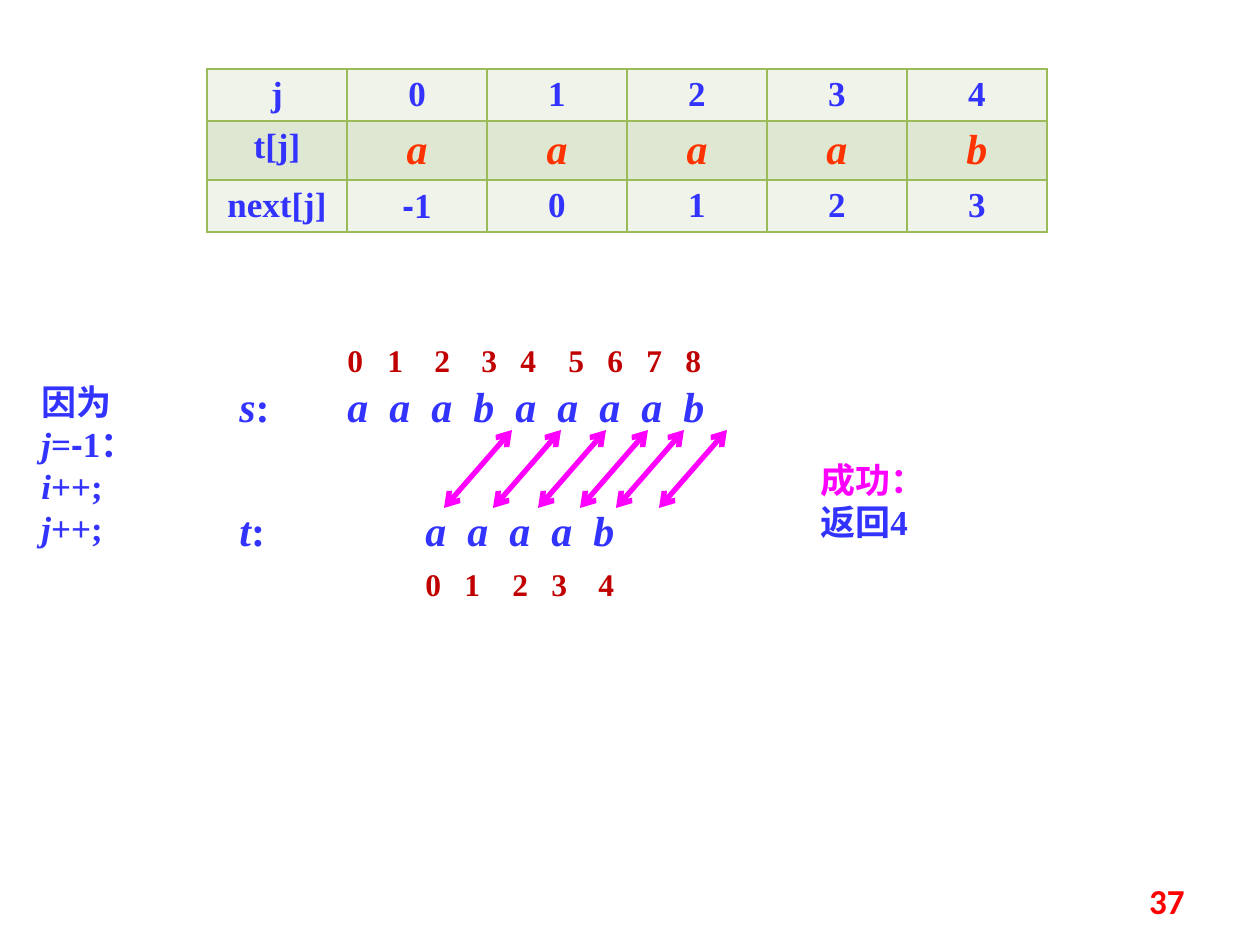
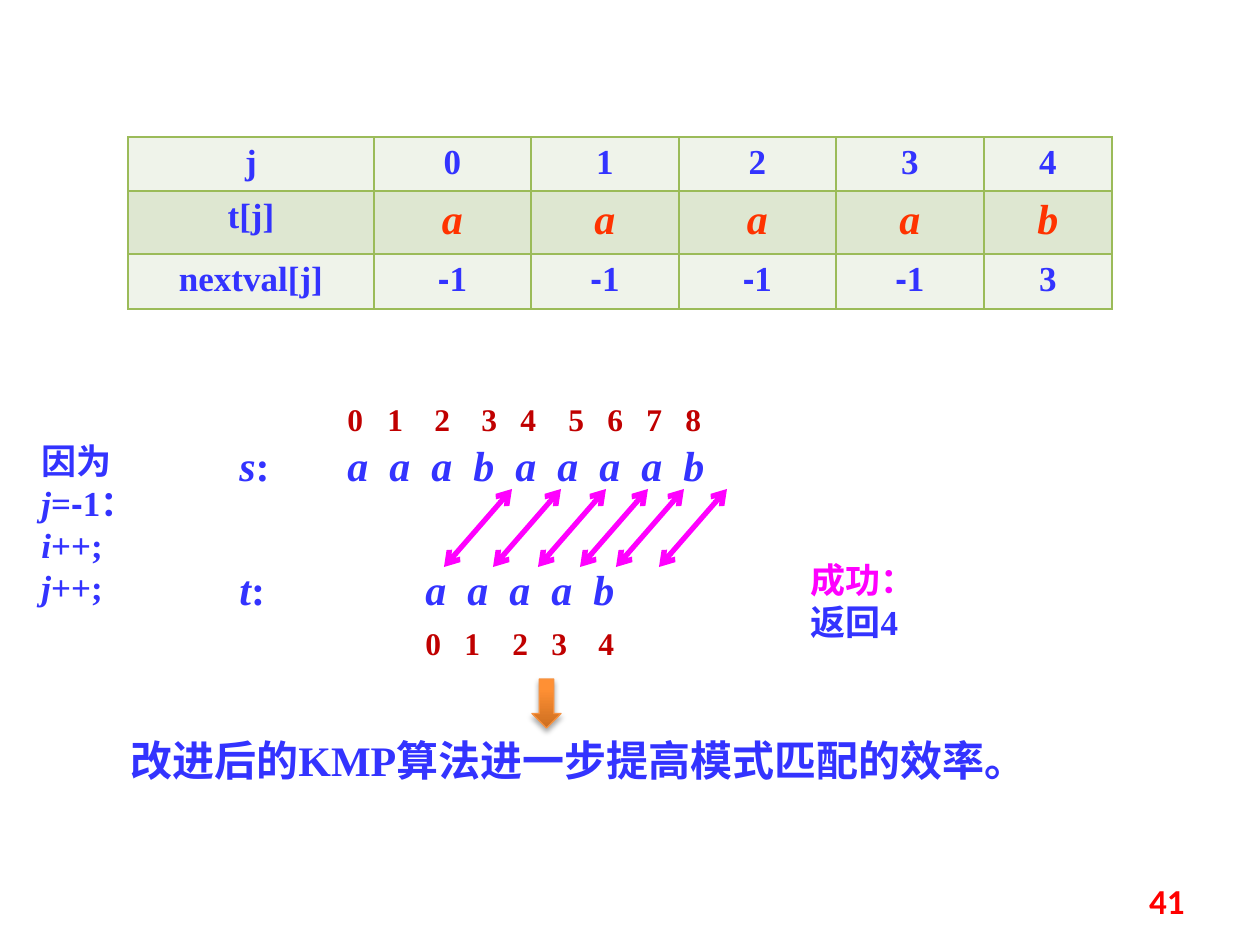
from itertools import accumulate

from lxml.etree import SubElement
from pptx import Presentation
from pptx.dml.color import RGBColor
from pptx.enum.lang import MSO_LANGUAGE_ID as Language
from pptx.enum.shapes import MSO_CONNECTOR as Connector, MSO_SHAPE as Shape
from pptx.enum.text import MSO_ANCHOR as Anchor, MSO_AUTO_SIZE as AutoSize, PP_ALIGN as Align
from pptx.oxml.ns import qn
from pptx.util import Pt

PX = 914400 / 126
COLORS = {
    "blue": "3333FF", "letter": "FF3300", "index": "C00000", "magenta": "FF00FF",
    "page": "FF0000", "border": "9BBB59", "light_row": "EFF3EA", "dark_row": "DEE7D1",
    "arrow_dark": "CC6E20", "arrow_light": "FF9034", "arrow_line": "F69240",
}
RGB = {name: RGBColor.from_string(value) for name, value in COLORS.items()}
SERIF = "Times New Roman"
LETTER_PITCH = 42
ARROW_TOPS = [512, 561, 606, 648, 684, 727]

# What differs between the slides
SLIDES = [
    {"page": "37", "table_at": (207, 69), "columns": [140] * 6, "rows": [52, 59, 52],
     "values": ["next[j]", "-1", "0", "1", "2", "3"],
     "trace_top": 374, "result_at": (808, 452), "conclusion": ""},
    {"page": "41", "table_at": (128, 137), "columns": [246, 157, 148, 157, 148, 128],
     "rows": [54, 63, 55], "values": ["nextval[j]", "-1", "-1", "-1", "-1", "3"],
     "trace_top": 433, "result_at": (798, 552),
     "conclusion": "改进后的KMP算法进一步提高模式匹配的效率。"},
]


def add_run(paragraph, text, size=20, color="blue", italic=False, font=SERIF):
    run = paragraph.add_run()
    run.text = text
    run.font.name = font
    run.font.size = Pt(size)
    run.font.bold = True
    run.font.italic = italic
    run.font.color.rgb = RGB[color]
    run.font.language_id = Language.SIMPLIFIED_CHINESE


def add_text(slide, box, paragraphs, tab_stops=()):
    """Each paragraph is a list of runs: (text, size, color, italic, font)."""
    shape = slide.shapes.add_textbox(*[round(length * PX) for length in box])
    frame = shape.text_frame
    frame.word_wrap = True
    frame.auto_size = AutoSize.SHAPE_TO_FIT_TEXT
    for number, runs in enumerate(paragraphs):
        paragraph = frame.add_paragraph() if number else frame.paragraphs[0]
        if tab_stops:
            tab_list = SubElement(paragraph._p.get_or_add_pPr(), qn("a:tabLst"))
            for stop in tab_stops:
                SubElement(tab_list, qn("a:tab"), pos=str(round(stop * PX)), algn="l")
        for run in runs:
            add_run(paragraph, *run)
    return shape


presentation = Presentation()
presentation.slide_width = round(1260 * PX)
presentation.slide_height = round(945 * PX)

for content in SLIDES:
    slide = presentation.slides.add_slide(presentation.slide_layouts[6])

    # Table of the next values
    left, top = content["table_at"]
    columns, rows = content["columns"], content["rows"]
    table_box = (left, top, sum(columns), sum(rows))
    table = slide.shapes.add_table(
        3, 6, *[round(length * PX) for length in table_box]).table
    for column, width in zip(table.columns, columns):
        column.width = round(width * PX)
    table_rows = [["j", *"01234"], ["t[j]", *"aaaab"], content["values"]]
    for row_index, texts in enumerate(table_rows):
        table.rows[row_index].height = round(rows[row_index] * PX)
        for column_index, text in enumerate(texts):
            cell = table.cell(row_index, column_index)
            cell_properties = cell._tc.get_or_add_tcPr()
            for side in ("lnL", "lnR", "lnT", "lnB"):
                border = SubElement(cell_properties, qn(f"a:{side}"), w=str(Pt(1)))
                border_fill = SubElement(border, qn("a:solidFill"))
                SubElement(border_fill, qn("a:srgbClr"), val=COLORS["border"])
            cell.fill.solid()
            cell.fill.fore_color.rgb = RGB["dark_row" if row_index == 1 else "light_row"]
            paragraph = cell.text_frame.paragraphs[0]
            paragraph.alignment = Align.CENTER
            if row_index == 1 and column_index:
                add_run(paragraph, text, 24, "letter", True)
            elif text.startswith("-"):
                add_run(paragraph, "-", font="Arial")
                add_run(paragraph, text[1:])
            else:
                add_run(paragraph, text)

    # Strings s and t with their indices
    trace_top = content["trace_top"]
    strings = [
        ("s", "aaabaaaab", 335, 0, -39, [40, 47, 47, 39, 48, 39, 39, 39]),
        ("t", "aaaab", 413, 124, 185, [39, 48, 39, 47]),
    ]
    for name, letters, left, row_offset, index_offset, index_gaps in strings:
        row_top = trace_top + row_offset
        width = len(letters) * LETTER_PITCH + 45
        add_text(slide, (left, row_top, width, 63),
                 [[("\t".join(letters), 24, "blue", True)]],
                 [LETTER_PITCH * step for step in range(1, len(letters))])
        add_text(slide, (227, row_top, 88, 63),
                 [[(name, 24, "blue", True), (":", 24)]])
        indices = "\t".join(str(index) for index in range(len(letters)))
        add_text(slide, (left, trace_top + index_offset, width, 50),
                 [[(indices, 18, "index")]], list(accumulate(index_gaps)))

    # Reason and result
    add_text(slide, (29, trace_top, 168, 140), [
        [("因为",), ("j", 20, "blue", True), ("=",),
         ("-", 20, "blue", False, "Arial"), ("1：",)],
        [("i", 20, "blue", True), ("++;",)],
        [("j", 20, "blue", True), ("++;",)],
    ])
    add_text(slide, (*content["result_at"], 186, 97),
             [[("成功：", 20, "magenta")], [("返回4",)]])

    # Comparison arrows
    for arrow_left in ARROW_TOPS:
        ends = (arrow_left, trace_top + 56, arrow_left - 68, trace_top + 134)
        arrow = slide.shapes.add_connector(
            Connector.STRAIGHT, *[round(length * PX) for length in ends])
        arrow.line.color.rgb = RGB["magenta"]
        arrow.line.width = Pt(3)
        for end in ("headEnd", "tailEnd"):
            SubElement(arrow.line._get_or_add_ln(), qn(f"a:{end}"), type="arrow")
        SubElement(arrow._element.spPr, qn("a:effectLst"))

    # Conclusion under a block arrow
    if content["conclusion"]:
        conclusion = add_text(slide, (118, 728, 955, 63), [[(content["conclusion"], 24)]])
        down_arrow = slide.shapes.add_shape(
            Shape.DOWN_ARROW, *[round(length * PX) for length in (532, 679, 29, 49)])
        down_arrow.fill.gradient()
        down_arrow.fill.gradient_angle = 90
        stops = down_arrow.fill.gradient_stops
        for stop, color, position in zip(stops, ("arrow_dark", "arrow_light"), (0, 0.8)):
            stop.color.rgb = RGB[color]
            stop.position = position
        down_arrow.line.color.rgb = RGB["arrow_line"]
        down_arrow.line.width = Pt(0.75)
        down_arrow.shadow.inherit = False
        effects = down_arrow._element.spPr.find(qn("a:effectLst"))
        shadow = SubElement(effects, qn("a:outerShdw"), blurRad=str(Pt(3.1)),
                            dist=str(Pt(1.8)), dir="5400000", rotWithShape="0")
        shadow_color = SubElement(shadow, qn("a:srgbClr"), val="000000")
        SubElement(shadow_color, qn("a:alpha"), val="35000")
        slide.shapes.add_group_shape([conclusion, down_arrow])

    # Page number
    page = add_text(slide, (903, 876, 294, 50),
                    [[(content["page"], 20, "page", False, "Calibri")]])
    page.text_frame.auto_size = AutoSize.NONE
    page.text_frame.vertical_anchor = Anchor.MIDDLE
    page.text_frame.paragraphs[0].alignment = Align.RIGHT

presentation.save("out.pptx")
